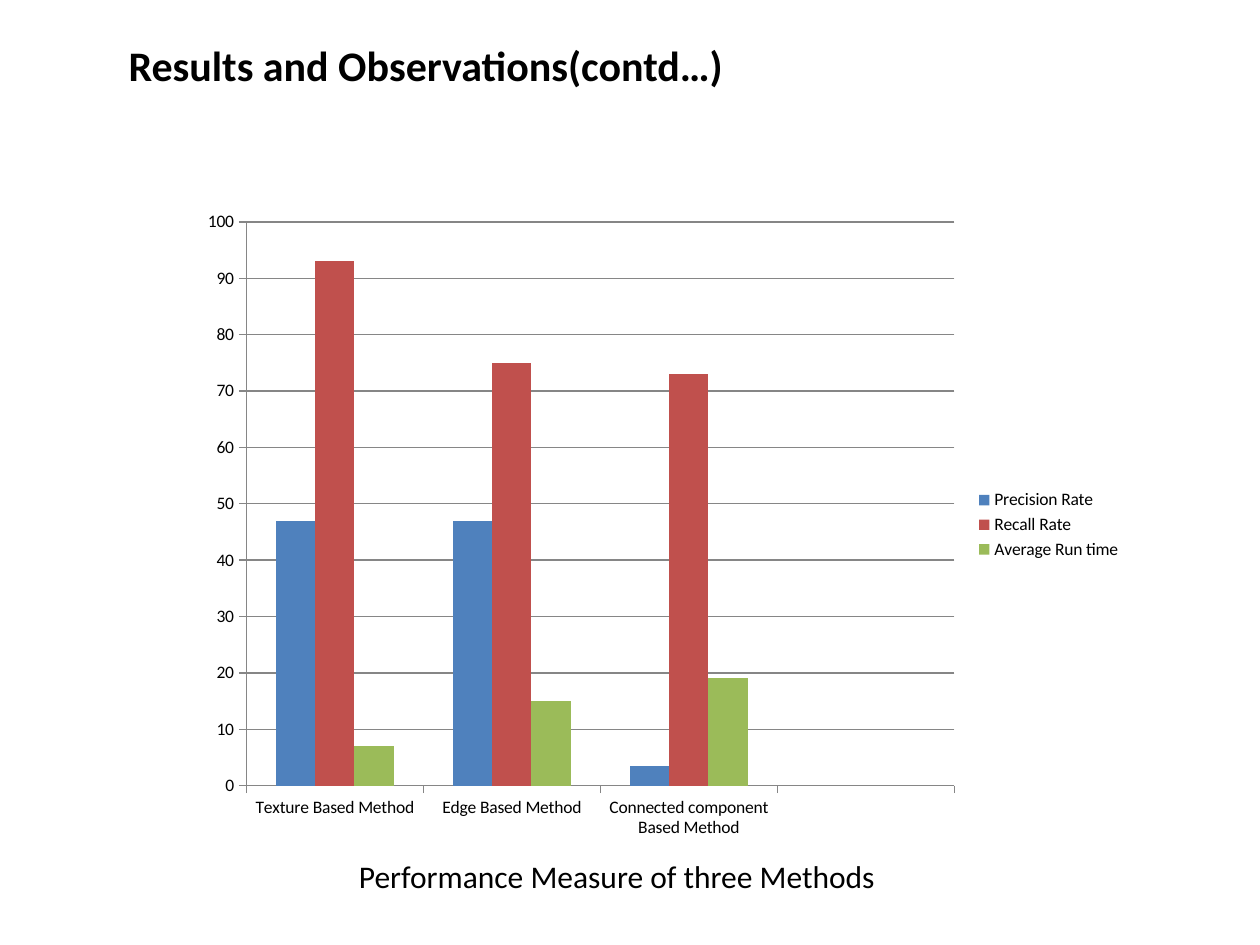
from dataclasses import dataclass
from pptx import Presentation
from pptx.chart.data import CategoryChartData as Data
from pptx.dml.color import RGBColor as Color
from pptx.enum.chart import XL_CHART_TYPE as Kind, XL_LEGEND_POSITION as Side, XL_TICK_MARK as Tick
from pptx.enum.text import MSO_ANCHOR as Anchor, MSO_AUTO_SIZE as Fit, PP_ALIGN as Align
from pptx.util import Inches, Pt


@dataclass(frozen=True)
class Theme:
    face: str = "Calibri"
    ink: Color = Color.from_string("000000")
    rule: Color = Color.from_string("868686")
    bars: tuple = ("4F81BD", "C0504D", "9BBB59")
    head: int = 24
    note: int = 18
    label: int = 10


theme = Theme()
METHODS = ["Texture Based Method", "Edge Based Method",
           "Connected component Based Method", ""]
RATES = {
    "Precision Rate": (47, 47, 3.5, None),
    "Recall Rate": (93, 75, 73, None),
    "Average Run time": (7, 15, 19, None),
}


def style(font, size, bold=False):
    font.name = theme.face
    font.size = Pt(size)
    font.bold = bold
    font.color.rgb = theme.ink


def write(shape, text, size, bold=False):
    frame = shape.text_frame
    frame.text = text
    frame.word_wrap = False
    frame.auto_size = Fit.SHAPE_TO_FIT_TEXT
    frame.vertical_anchor = Anchor.TOP
    line = frame.paragraphs[0]
    line.alignment = Align.LEFT
    style(line.font, size, bold)


def add_title(slide, box):
    title = slide.shapes.title
    title.left, title.top, title.width, title.height = box
    write(title, "Results and Observations(contd…)", theme.head, True)


def add_bars(slide, box):
    data = Data()
    data.categories = METHODS
    for name, rates in RATES.items():
        data.add_series(name, rates)
    chart = slide.shapes.add_chart(Kind.COLUMN_CLUSTERED, *box, data).chart
    style(chart.font, theme.label)
    chart.has_title = False
    chart.has_legend = True
    chart.legend.position = Side.RIGHT
    chart.legend.include_in_layout = False
    plot = chart.plots[0]
    plot.gap_width = 150
    plot.overlap = 0
    plot.vary_by_categories = False
    for bar, fill in zip(plot.series, theme.bars):
        bar.format.fill.solid()
        bar.format.fill.fore_color.rgb = Color.from_string(fill)
        bar.invert_if_negative = False
    scale = chart.value_axis
    scale.minimum_scale, scale.maximum_scale, scale.major_unit = 0, 100, 10
    scale.has_major_gridlines = True
    for axis in (scale, chart.category_axis):
        axis.major_tick_mark = Tick.OUTSIDE
        axis.minor_tick_mark = Tick.NONE
    for part in (scale, chart.category_axis, scale.major_gridlines):
        part.format.line.color.rgb = theme.rule
        part.format.line.width = Pt(0.75)


def add_note(slide, box):
    note = slide.shapes.add_textbox(*box)
    write(note, "Performance Measure of three Methods", theme.note)


def area(*sides):
    return tuple(Inches(side) for side in sides)


deck = Presentation()
deck.slide_width, deck.slide_height = area(10, 7.5)
slide = deck.slides.add_slide(deck.slide_layouts[5])
add_title(slide, area(0.92, 0.26, 5, 0.5))
add_bars(slide, area(1.5, 1.58, 7.5, 5.17))
add_note(slide, area(2.75, 6.75, 4.35, 0.4))
deck.save("out.pptx")
